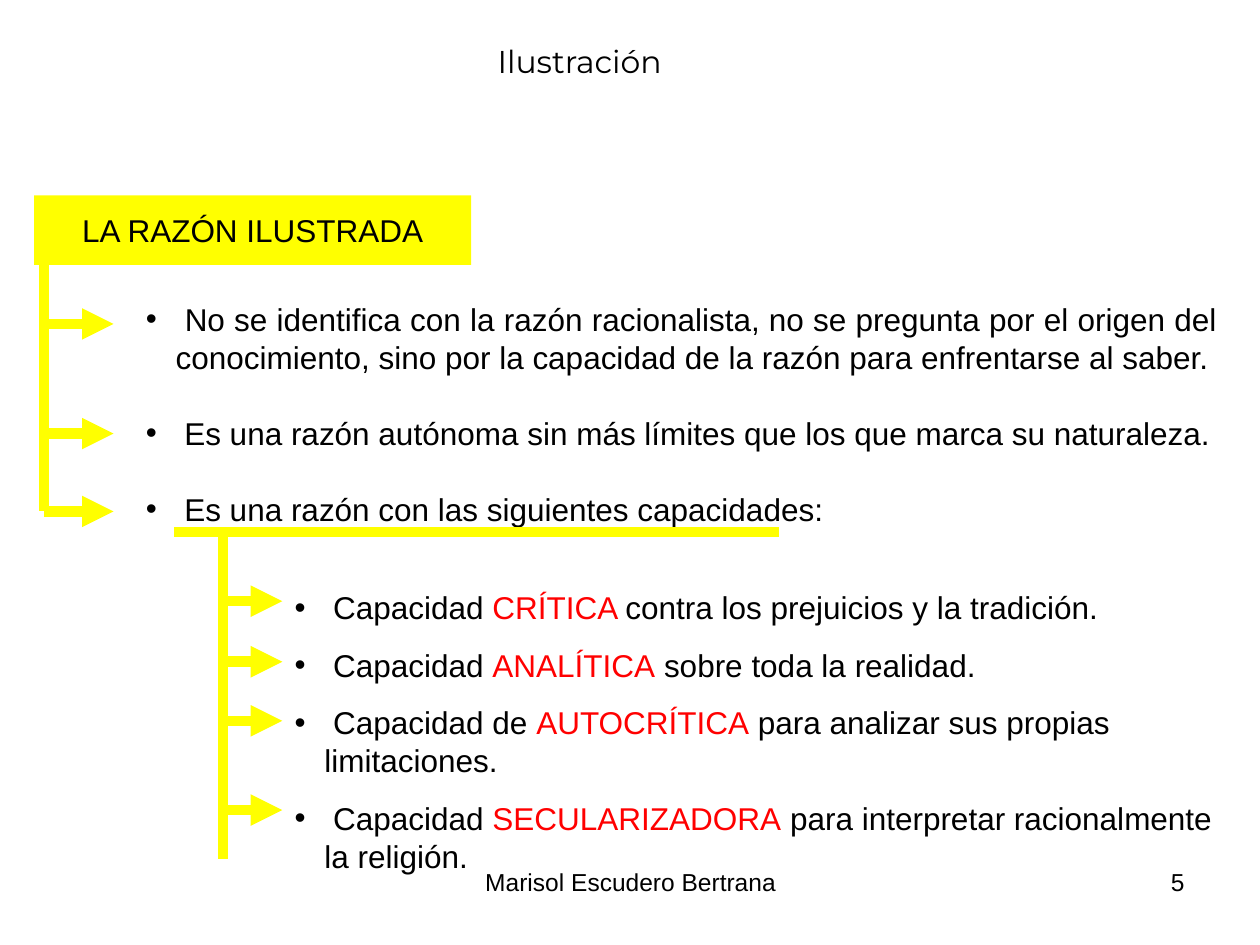
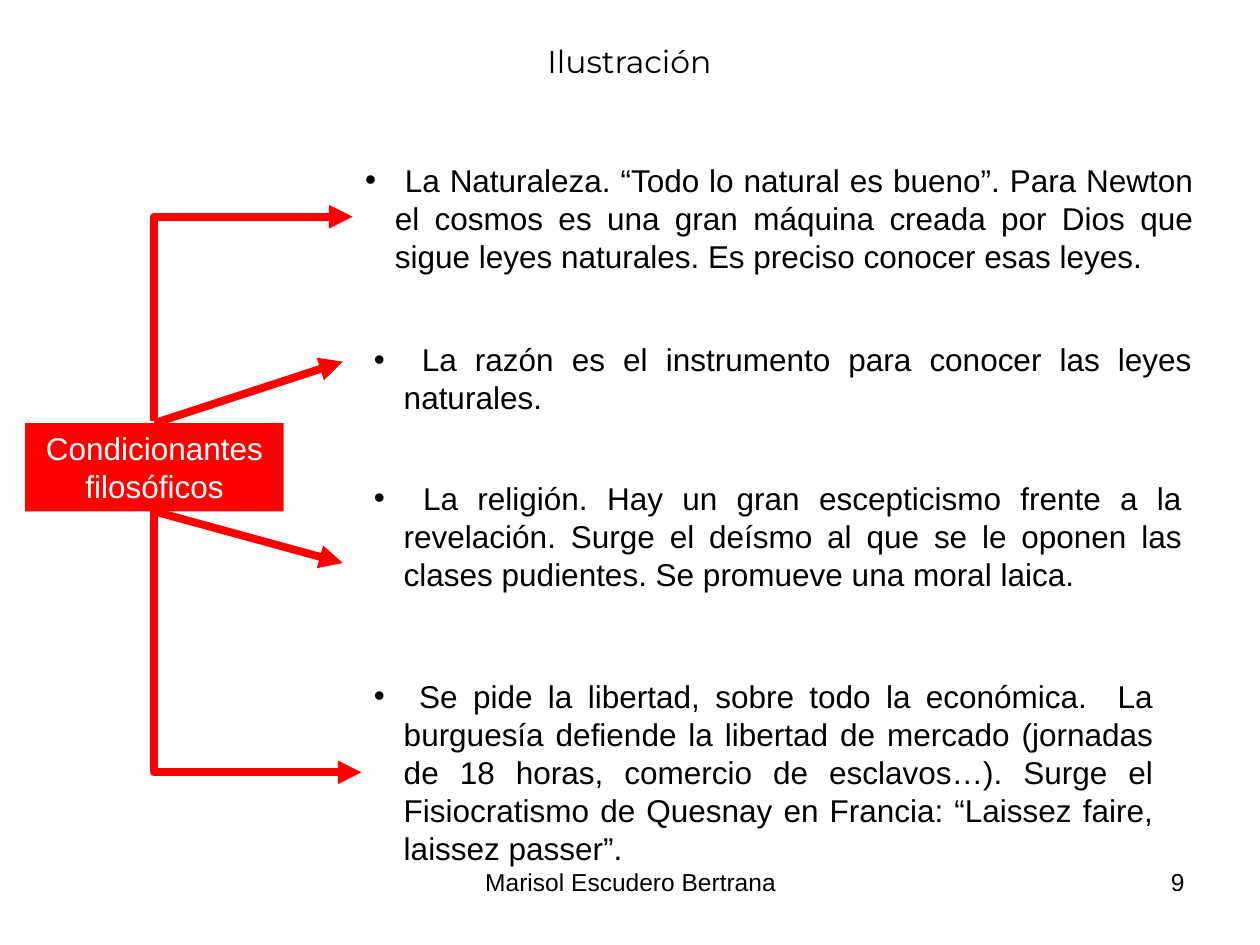
"""Build two slides on the Enlightenment: its idea of reason and its philosophical conditions."""
from lxml.etree import SubElement
from pptx import Presentation
from pptx.dml.color import RGBColor
from pptx.enum.shapes import MSO_CONNECTOR, MSO_SHAPE
from pptx.enum.text import MSO_ANCHOR, MSO_AUTO_SIZE, PP_ALIGN
from pptx.oxml.ns import qn
from pptx.util import Cm, Pt

BLACK, WHITE, RED, YELLOW = "000000", "FFFFFF", "FF0000", "FFFF00"
BODY_FONT, TITLE_FONT = "Arial", "Montserrat"
LINE_PITCH = 21.7
AUTHOR = "Marisol Escudero Bertrana"


def write(shape, paragraphs, size=18, color=BLACK, font=BODY_FONT, align=PP_ALIGN.LEFT,
          anchor=MSO_ANCHOR.TOP, bullet=False, gap=0):
    """Fill a shape; each paragraph is a list of runs in which every second one is red."""
    frame = shape.text_frame
    frame.word_wrap = True
    frame.auto_size = MSO_AUTO_SIZE.NONE
    frame.vertical_anchor = anchor
    for index, runs in enumerate(paragraphs):
        paragraph = frame.paragraphs[0] if index == 0 else frame.add_paragraph()
        paragraph.alignment = align
        paragraph.space_before = Pt(gap if index else 0)
        if size == 18 and font == BODY_FONT:
            paragraph.line_spacing = Pt(LINE_PITCH)
        if bullet:
            properties = paragraph._p.get_or_add_pPr()
            properties.set("marL", str(Cm(0.6)))
            properties.set("indent", str(-Cm(0.6)))
            SubElement(properties, qn("a:buFont"), typeface=BODY_FONT)
            SubElement(properties, qn("a:buChar"), char="•")
        paragraph.font.size = Pt(size)
        paragraph.font.name = font
        paragraph.font.color.rgb = RGBColor.from_string(color)
        for position, words in enumerate(runs):
            run = paragraph.add_run()
            run.text = words
            if position % 2:
                run.font.color.rgb = RGBColor.from_string(RED)


def draw_line(slide, start, end, color, width, arrow=True, kind=MSO_CONNECTOR.STRAIGHT):
    """Draw a connector between two points given in centimetres."""
    line = slide.shapes.add_connector(kind, *(Cm(value) for value in (*start, *end)))
    line.line.color.rgb = RGBColor.from_string(color)
    line.line.width = Pt(width)
    if arrow:
        SubElement(line.line._get_or_add_ln(), qn("a:tailEnd"), type="triangle")
    SubElement(line._element.spPr, qn("a:effectLst"))
    return line


presentation = Presentation()
presentation.slide_width, presentation.slide_height = Cm(25.4), Cm(19.05)

frames = [
    (15.19, "LA RAZÓN ILUSTRADA", (0.69, 3.94, 8.81, 1.4), YELLOW, BLACK, "5"),
    (17.2, "Condicionantes filosóficos", (0.51, 8.53, 5.21, 1.78), RED, WHITE, "9"),
]
slides, headings = [], []
for title_width, topic, place, fill, ink, number in frames:
    slide = presentation.slides.add_slide(presentation.slide_layouts[5])
    title = slide.shapes.title
    title.left, title.top, title.width, title.height = Cm(4.09), Cm(0.71), Cm(title_width), Cm(0.99)
    write(title, [["Ilustración"]], font=TITLE_FONT, align=PP_ALIGN.CENTER)

    heading = slide.shapes.add_shape(MSO_SHAPE.RECTANGLE, *(Cm(value) for value in place))
    heading.shadow.inherit = False
    heading.fill.solid()
    heading.fill.fore_color.rgb = RGBColor.from_string(fill)
    heading.line.fill.background()
    write(heading, [[topic]], color=ink, align=PP_ALIGN.CENTER, anchor=MSO_ANCHOR.MIDDLE)

    author = slide.shapes.add_textbox(Cm(8.69), Cm(17.35), Cm(8.05), Cm(1.32))
    write(author, [[AUTHOR]], size=14, align=PP_ALIGN.CENTER)
    page = slide.shapes.add_textbox(Cm(18.21), Cm(17.35), Cm(5.92), Cm(1.32))
    write(page, [[number]], size=14, align=PP_ALIGN.RIGHT)
    slides.append(slide)
    headings.append(heading)

reason_slide, conditions_slide = slides
conditions_heading = headings[1]

traits = reason_slide.shapes.add_textbox(Cm(2.69), Cm(5.92), Cm(22.1), Cm(4.83))
write(traits, [
    [" No se identifica con la razón racionalista, no se pregunta por el origen del conocimiento, "
     "sino por la capacidad de la razón para enfrentarse al saber."],
    [" Es una razón autónoma sin más límites que los que marca su naturaleza."],
    [" Es una razón con las siguientes capacidades:"],
], align=PP_ALIGN.JUSTIFY, bullet=True, gap=LINE_PITCH)

capacities = reason_slide.shapes.add_textbox(Cm(5.69), Cm(11.73), Cm(19.2), Cm(6.02))
write(capacities, [
    [" Capacidad ", "CRÍTICA ", "contra los prejuicios y la tradición."],
    [" Capacidad ", "ANALÍTICA", " sobre toda la realidad."],
    [" Capacidad de ", "AUTOCRÍTICA", " para analizar sus propias limitaciones."],
    [" Capacidad ", "SECULARIZADORA", " para interpretar racionalmente la religión."],
], bullet=True, gap=11.2)

draw_line(reason_slide, (3.51, 10.72), (15.7, 10.72), YELLOW, 6, arrow=False)
branches = [
    (0.89, 5.13, 10.31, 2.29, (6.53, 8.74, 10.31)),
    (4.5, 10.72, 17.32, 5.69, (12.12, 13.34, 14.53, 16.33)),
]
for trunk_x, trunk_top, trunk_bottom, tip_x, levels in branches:
    draw_line(reason_slide, (trunk_x, trunk_top), (trunk_x, trunk_bottom), YELLOW, 6, arrow=False)
    for level in levels:
        draw_line(reason_slide, (trunk_x, level), (tip_x, level), YELLOW, 6)

conditions = [
    ((7.11, 3.12, 17.2, 2.54),
     " La Naturaleza. “Todo lo natural es bueno”. Para Newton el cosmos es una gran máquina creada "
     "por Dios que sigue leyes naturales. Es preciso conocer esas leyes."),
    ((7.29, 6.73, 16.99, 1.78),
     " La razón es el instrumento para conocer las leyes naturales."),
    ((7.29, 9.53, 16.79, 2.54),
     " La religión. Hay un gran escepticismo frente a la revelación. Surge el deísmo al que se le "
     "oponen las clases pudientes. Se promueve una moral laica."),
    ((7.29, 13.51, 16.21, 4.06),
     " Se pide la libertad, sobre todo la económica.  La burguesía defiende la libertad de mercado "
     "(jornadas de 18 horas, comercio de esclavos…). Surge el Fisiocratismo de Quesnay en Francia: "
     "“Laissez faire, laissez passer”."),
]
for place, words in conditions:
    condition = conditions_slide.shapes.add_textbox(*(Cm(value) for value in place))
    write(condition, [[words]], align=PP_ALIGN.JUSTIFY, bullet=True)

for (start_x, start_y), (tip_x, tip_y) in [((3.1, 8.48), (7.11, 4.37)), ((3.1, 10.31), (7.29, 15.57))]:
    center_x, center_y = (start_x + tip_x) / 2, (start_y + tip_y) / 2
    half_run, half_rise = (tip_x - start_x) / 2, abs(tip_y - start_y) / 2
    side = 1 if tip_y > start_y else -1
    elbow = draw_line(conditions_slide,
                      (center_x + half_rise, center_y - side * half_run),
                      (center_x - half_rise, center_y + side * half_run),
                      RED, 4.5, kind=MSO_CONNECTOR.ELBOW)
    outline = elbow._element.spPr
    outline.find(qn("a:prstGeom")).set("prst", "bentConnector2")
    outline.find(qn("a:xfrm")).set("rot", str((270 if side > 0 else 90) * 60000))

for start, tip, site in [((3.1, 10.31), (6.91, 11.35), 2), ((3.1, 8.53), (6.91, 7.29), 0)]:
    ray = draw_line(conditions_slide, start, tip, RED, 4.5)
    ray.begin_connect(conditions_heading, site)

presentation.save("out.pptx")
